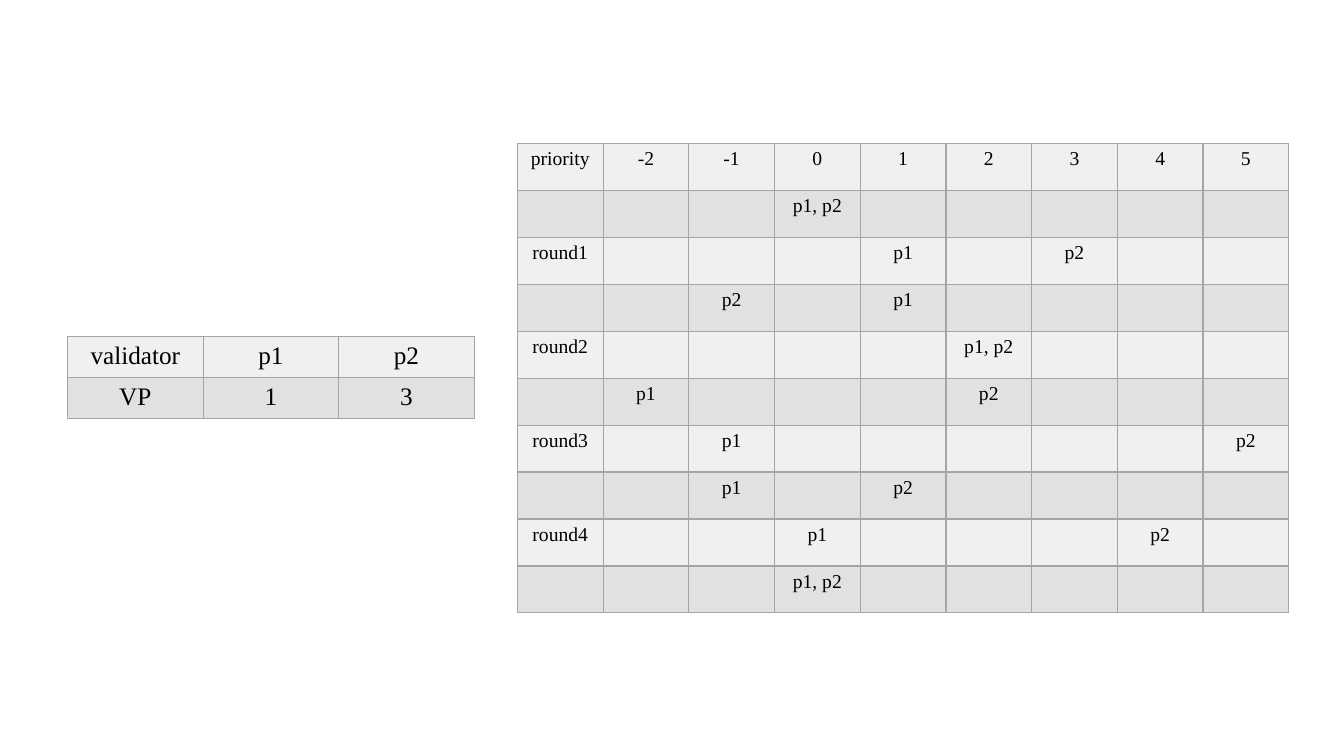
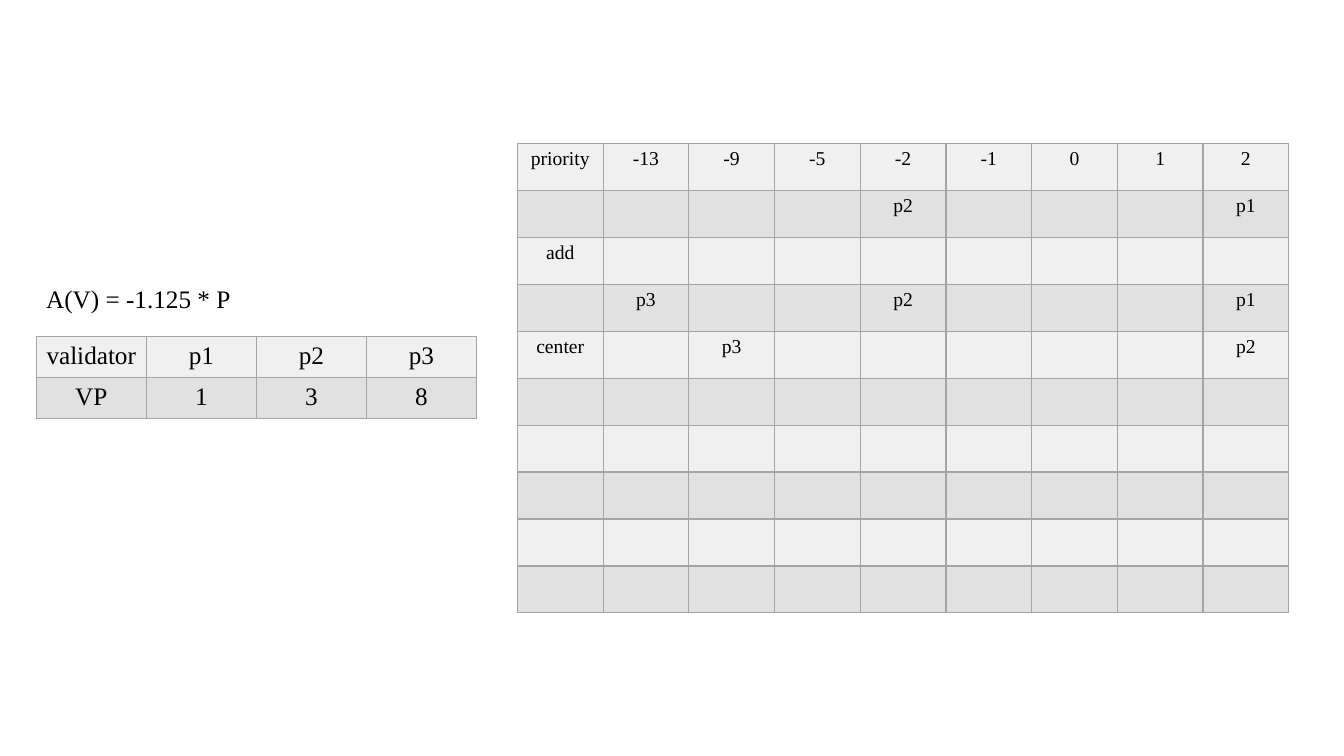
from lxml import etree
from pptx import Presentation
from pptx.dml.color import RGBColor
from pptx.enum.text import MSO_AUTO_SIZE, PP_ALIGN
from pptx.oxml.ns import qn
from pptx.util import Inches, Pt

CENTER, LEFT = PP_ALIGN.CENTER, PP_ALIGN.LEFT
GROW = MSO_AUTO_SIZE.SHAPE_TO_FIT_TEXT

# Theme: colours, font and type sizes
THEME = {
    "bands": ("F0F0F0", "E1E1E1"),
    "border": "A5A5A5",
    "border_width": Pt(1),
    "ink": RGBColor.from_string("000000"),
    "font": "Times New Roman",
    "small": Pt(14),
    "large": Pt(18),
}

prs = Presentation()
prs.slide_width, prs.slide_height = Inches(13.33), Inches(7.5)
BLANK = prs.slide_layouts[6]

# Places as percentages of the slide: left, top, width, height
PRIORITY_BOX = (38.5, 18.97, 57.4, 62.1)
POWER_TOP, POWER_HEIGHT = 44.55, 10.8
PRIORITY_ROWS = 10

# Each step is a row label and the validators at each priority
SLIDES = [
    {
        "priorities": ["-2", "-1", "0", "1", "2", "3", "4", "5"],
        "steps": [
            ("", {"0": "p1, p2"}),
            ("round1", {"1": "p1", "3": "p2"}),
            ("", {"-1": "p2", "1": "p1"}),
            ("round2", {"2": "p1, p2"}),
            ("", {"-2": "p1", "2": "p2"}),
            ("round3", {"-1": "p1", "5": "p2"}),
            ("", {"-1": "p1", "1": "p2"}),
            ("round4", {"0": "p1", "4": "p2"}),
            ("", {"0": "p1, p2"}),
        ],
        "power": [["validator", "p1", "p2"], ["VP", "1", "3"]],
        "power_left": 5.03,
        "power_width": 30.25,
    },
    {
        "priorities": ["-13", "-9", "-5", "-2", "-1", "0", "1", "2"],
        "steps": [
            ("", {"-2": "p2", "2": "p1"}),
            ("add", {}),
            ("", {"-13": "p3", "-2": "p2", "2": "p1"}),
            ("center", {"-9": "p3", "2": "p2"}),
        ],
        "power": [["validator", "p1", "p2", "p3"], ["VP", "1", "3", "8"]],
        "power_left": 2.7,
        "power_width": 32.75,
        "formula": "A(V) = -1.125 * P",
        "formula_box": (2.7, 36.8, 36.8, 5.4),
    },
]


def write(tf, text, size, align):
    p = tf.paragraphs[0]
    p.alignment = align
    r = p.add_run()
    r.text = text
    for name, value in {"size": size, "name": THEME["font"]}.items():
        setattr(r.font, name, value)
    r.font.color.rgb = THEME["ink"]


def add_grid(s, box, rows, size):
    x, y, w, h = place(box)
    table = s.shapes.add_table(len(rows), len(rows[0]), x, y, w, h).table
    table.first_row = table.horz_banding = False
    for col in table.columns:
        col.width = w // len(rows[0])
    for i, row in enumerate(rows):
        table.rows[i].height = h // len(rows)
        for j, text in enumerate(row):
            cell = table.cell(i, j)
            cell.margin_left = cell.margin_right = Inches(0.08)
            # Borders come before the fill in the cell properties
            props = cell._tc.get_or_add_tcPr()
            for side in ("a:lnL", "a:lnR", "a:lnT", "a:lnB"):
                ln = etree.SubElement(props, qn(side), w=str(THEME["border_width"]))
                fill = etree.SubElement(ln, qn("a:solidFill"))
                etree.SubElement(fill, qn("a:srgbClr"), val=THEME["border"])
            cell.fill.solid()
            cell.fill.fore_color.rgb = RGBColor.from_string(THEME["bands"][i % 2])
            if text:
                write(cell.text_frame, text, size, CENTER)


# Percentages to slide lengths
place = lambda box: [int(share * full / 100) for share, full in
                     zip(box, (prs.slide_width, prs.slide_height) * 2)]

for data in SLIDES:
    s = prs.slides.add_slide(BLANK)

    # Priority table, filled up with empty rows
    priorities = data["priorities"]
    rows = [["priority"] + priorities]
    rows += [[label] + [marks.get(n, "") for n in priorities]
             for label, marks in data["steps"]]
    rows += [[""] * len(rows[0])] * (PRIORITY_ROWS - len(rows))
    add_grid(s, PRIORITY_BOX, rows, THEME["small"])

    # Voting power table
    power_box = (data["power_left"], POWER_TOP, data["power_width"], POWER_HEIGHT)
    add_grid(s, power_box, data["power"], THEME["large"])

    # Formula above the voting power
    if "formula" in data:
        tf = s.shapes.add_textbox(*place(data["formula_box"])).text_frame
        tf.word_wrap = True
        tf.auto_size = GROW
        write(tf, data["formula"], THEME["large"], LEFT)

prs.save("out.pptx")
